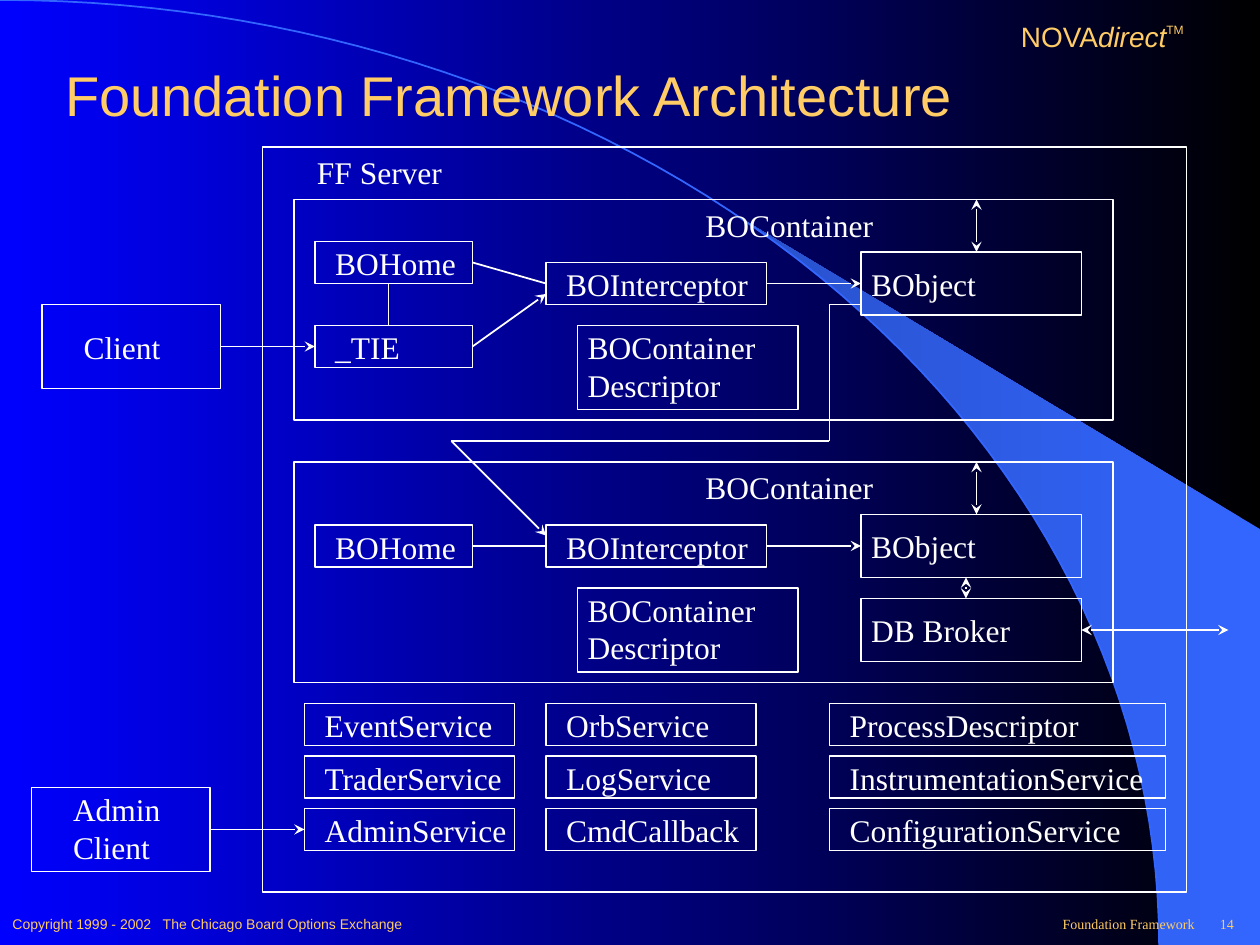
import dataclasses
import math

import pptx
import pptx.dml.color
import pptx.enum.shapes
import pptx.enum.text
import pptx.oxml
import pptx.oxml.ns
import pptx.util

ALIGN = pptx.enum.text.PP_ALIGN
ANCHOR = pptx.enum.text.MSO_ANCHOR
COLUMNS, ROWS = 120, 90
WIDTH, HEIGHT = pptx.util.Inches(10), pptx.util.Inches(7.5)


@dataclasses.dataclass(frozen=True)
class Theme:
    ink: str = "FFFFFF"
    accent: str = "FFCC66"
    night: str = "000000"
    blue: str = "0000FF"
    sweep: str = "3366FF"
    sweep_dark: str = "2851CB"
    sans: str = "Arial"
    serif: str = "Times New Roman"
    title: int = 32
    label: int = 18
    product: int = 16
    mark: int = 12
    footer: int = 8
    line: float = 1


THEME = Theme()


@dataclasses.dataclass(frozen=True)
class Box:
    """An area in grid columns and rows."""
    x: float
    y: float
    w: float
    h: float

    def inner(self, x, y, w, h):
        return Box(self.x + x, self.y + y, w, h)

    def point(self, x, y):
        return self.x + x, self.y + y

    def place(self):
        return col(self.x), row(self.y), col(self.w), row(self.h)


def col(n):
    return round(WIDTH * n / COLUMNS)


def row(n):
    return round(HEIGHT * n / ROWS)


def rgb(value):
    return pptx.dml.color.RGBColor.from_string(value)


def gradient(fill, first, last):
    fill.gradient()
    fill.gradient_angle = 180
    for stop, color in zip(fill.gradient_stops, (first, last)):
        stop.color.rgb = rgb(color)


def style(run, size, face=THEME.serif, color=THEME.ink):
    run.font.size = pptx.util.Pt(size)
    run.font.name = face
    run.font.color.rgb = rgb(color)


def write(frame, text, size=THEME.label, face=THEME.serif, color=THEME.ink,
          align=ALIGN.LEFT, anchor=ANCHOR.TOP, insets=(0.1, 0.05, 0.1, 0.05)):
    frame.text = text
    frame.word_wrap = True
    frame.auto_size = pptx.enum.text.MSO_AUTO_SIZE.NONE
    frame.vertical_anchor = anchor
    (frame.margin_left, frame.margin_top,
     frame.margin_right, frame.margin_bottom) = map(pptx.util.Inches, insets)
    for paragraph in frame.paragraphs:
        paragraph.alignment = align
        for run in paragraph.runs:
            style(run, size, face, color)


def label(slide, box, text, **options):
    area = slide.shapes.add_textbox(*box.place())
    write(area.text_frame, text, **options)
    return area


def panel(slide, box, text="", left=0.16, top=0.02):
    """Outlined rectangle, with its text set in from the top left corner."""
    area = slide.shapes.add_shape(pptx.enum.shapes.MSO_SHAPE.RECTANGLE, *box.place())
    area.shadow.inherit = False
    area.fill.background()
    area.line.color.rgb = rgb(THEME.ink)
    area.line.width = pptx.util.Pt(THEME.line)
    if text:
        write(area.text_frame, text, insets=(left, top, 0, 0))


def link(slide, start, end, head=False, tail=False):
    line = slide.shapes.add_connector(
        pptx.enum.shapes.MSO_CONNECTOR.STRAIGHT,
        col(start[0]), row(start[1]), col(end[0]), row(end[1]))
    line.line.color.rgb = rgb(THEME.ink)
    line.line.width = pptx.util.Pt(THEME.line)
    for tag, wanted in (("a:headEnd", head), ("a:tailEnd", tail)):
        if wanted:
            arrow = pptx.oxml.parse_xml(f'<{tag} {pptx.oxml.ns.nsdecls("a")} type="stealth"/>')
            line.get_or_add_ln().append(arrow)
    line.element.spPr.append(
        pptx.oxml.parse_xml(f'<a:effectLst {pptx.oxml.ns.nsdecls("a")}/>'))


def backdrop(slide):
    gradient(slide.background.fill, THEME.night, THEME.blue)
    reach, drop, edge = WIDTH * 0.92, HEIGHT, WIDTH - 1

    def arc(start, steps=60):
        angles = (start + (math.pi / 2 - start) * i / steps for i in range(steps + 1))
        return [(round(reach * math.sin(a)), round(drop * (1 - math.cos(a)))) for a in angles]

    def outline(points, close):
        builder = slide.shapes.build_freeform(*points[0])
        builder.add_line_segments(points[1:], close=close)
        curve = builder.convert_to_shape()
        curve.shadow.inherit = False
        return curve

    # Wedge between the arc and the right edge
    corners = [(edge, HEIGHT), (edge, round(HEIGHT * 0.56))]
    wedge = outline(arc(math.asin(0.64)) + corners, True)
    gradient(wedge.fill, THEME.sweep, THEME.sweep_dark)
    wedge.line.fill.background()
    # Quarter ellipse across the slide
    sweep = outline(arc(0), False)
    sweep.fill.background()
    sweep.line.color.rgb = rgb(THEME.sweep)
    sweep.line.width = pptx.util.Pt(THEME.line)


def heading(slide, title_box, product_box):
    title = slide.shapes.title
    title.element.getparent().append(title.element)  # in front of the backdrop
    title.left, title.top, title.width, title.height = title_box.place()
    write(title.text_frame, "Foundation Framework Architecture", size=THEME.title,
          face=THEME.sans, color=THEME.accent, anchor=ANCHOR.MIDDLE)
    # Product name with a raised trade mark
    product = label(slide, product_box, "NOVA", size=THEME.product, face=THEME.sans,
                    color=THEME.accent, align=ALIGN.CENTER, anchor=ANCHOR.MIDDLE)
    paragraph = product.text_frame.paragraphs[0]
    for text, size, italic in (("direct", THEME.product, True), ("TM", THEME.mark, False)):
        run = paragraph.add_run()
        run.text = text
        style(run, size, THEME.sans, THEME.accent)
        run.font.italic = italic
    product.element.xpath(".//a:rPr")[-1].set("baseline", "64000")


def container(slide, box, home_row):
    """Business object container: home, interceptor, object and descriptor."""
    panel(slide, box)
    label(slide, box.inner(38, 0, 19, 5), "BOContainer")
    panel(slide, box.inner(54, 5, 21, 6), "BObject", left=0.08, top=0.1)
    panel(slide, box.inner(2, home_row, 15, 4), "BOHome")
    panel(slide, box.inner(24, 6, 21, 4), "BOInterceptor")
    panel(slide, box.inner(27, 12, 21, 8), "BOContainer\nDescriptor", left=0.08)
    link(slide, box.point(65, 0), box.point(65, 5), head=True, tail=True)
    link(slide, box.point(17, home_row + 2), box.point(24, 8))
    link(slide, box.point(45, 8), box.point(54, 8), tail=True)


def tie(slide, box):
    panel(slide, box.inner(2, 12, 15, 4), "_TIE")
    link(slide, box.point(9, 8), box.point(9, 12))
    link(slide, box.point(17, 14), box.point(24, 9), tail=True)


def broker(slide, box):
    panel(slide, box.inner(54, 13, 21, 6), "DB Broker", left=0.08, top=0.1)
    link(slide, box.point(64, 11), box.point(64, 13), head=True, tail=True)
    link(slide, box.point(75, 16), box.point(89, 16), head=True, tail=True)


def services(slide, box):
    groups = ((0, 20, ("EventService", "TraderService", "AdminService")),
              (23, 20, ("OrbService", "LogService", "CmdCallback")),
              (50, 32, ("ProcessDescriptor", "InstrumentationService", "ConfigurationService")))
    for x, width, names in groups:
        for i, name in enumerate(names):
            panel(slide, box.inner(x, 5 * i, width, 4), name)


def server(slide, box):
    panel(slide, box)
    label(slide, box.inner(4, 0, 15, 5), "FF Server")
    upper, lower = box.inner(3, 5, 78, 21), box.inner(3, 30, 78, 21)
    container(slide, upper, home_row=4)
    tie(slide, upper)
    container(slide, lower, home_row=6)
    broker(slide, lower)
    # Upper object to lower interceptor
    bends = [upper.point(54, 10), upper.point(51, 10), upper.point(51, 23),
             upper.point(15, 23), lower.point(24, 7)]
    for start, end in zip(bends, bends[1:]):
        link(slide, start, end, tail=end == bends[-1])
    services(slide, box.inner(4, 53, 82, 14))


def client(slide, box, text, left, top, arrow_row):
    panel(slide, box, text, left, top)
    link(slide, box.point(17, arrow_row), box.point(26, arrow_row), tail=True)


def footer(slide, box):
    parts = ((0, 45, "Copyright 1999 - 2002   The Chicago Board Options Exchange",
              THEME.sans, ALIGN.LEFT),
             (80, 35, "Foundation Framework", THEME.serif, ALIGN.RIGHT),
             (115, 5, "14", THEME.serif, ALIGN.LEFT))
    for x, width, text, face, align in parts:
        label(slide, box.inner(x, 0, width, box.h), text, size=THEME.footer, face=face,
              color=THEME.accent, align=align, anchor=ANCHOR.MIDDLE)


def main():
    deck = pptx.Presentation()
    deck.slide_width, deck.slide_height = WIDTH, HEIGHT
    slide = deck.slides.add_slide(deck.slide_layouts.get_by_name("Title Only"))
    backdrop(slide)
    heading(slide, Box(5, 5, 107, 8), Box(90, 0, 30, 7))
    server(slide, Box(25, 14, 88, 71))
    client(slide, Box(4, 29, 17, 8), "Client", left=0.33, top=0.19, arrow_row=4)
    client(slide, Box(3, 75, 17, 8), "Admin\nClient", left=0.33, top=0.02, arrow_row=4)
    footer(slide, Box(0, 86, 120, 4))
    deck.save("out.pptx")


if __name__ == "__main__":
    main()
